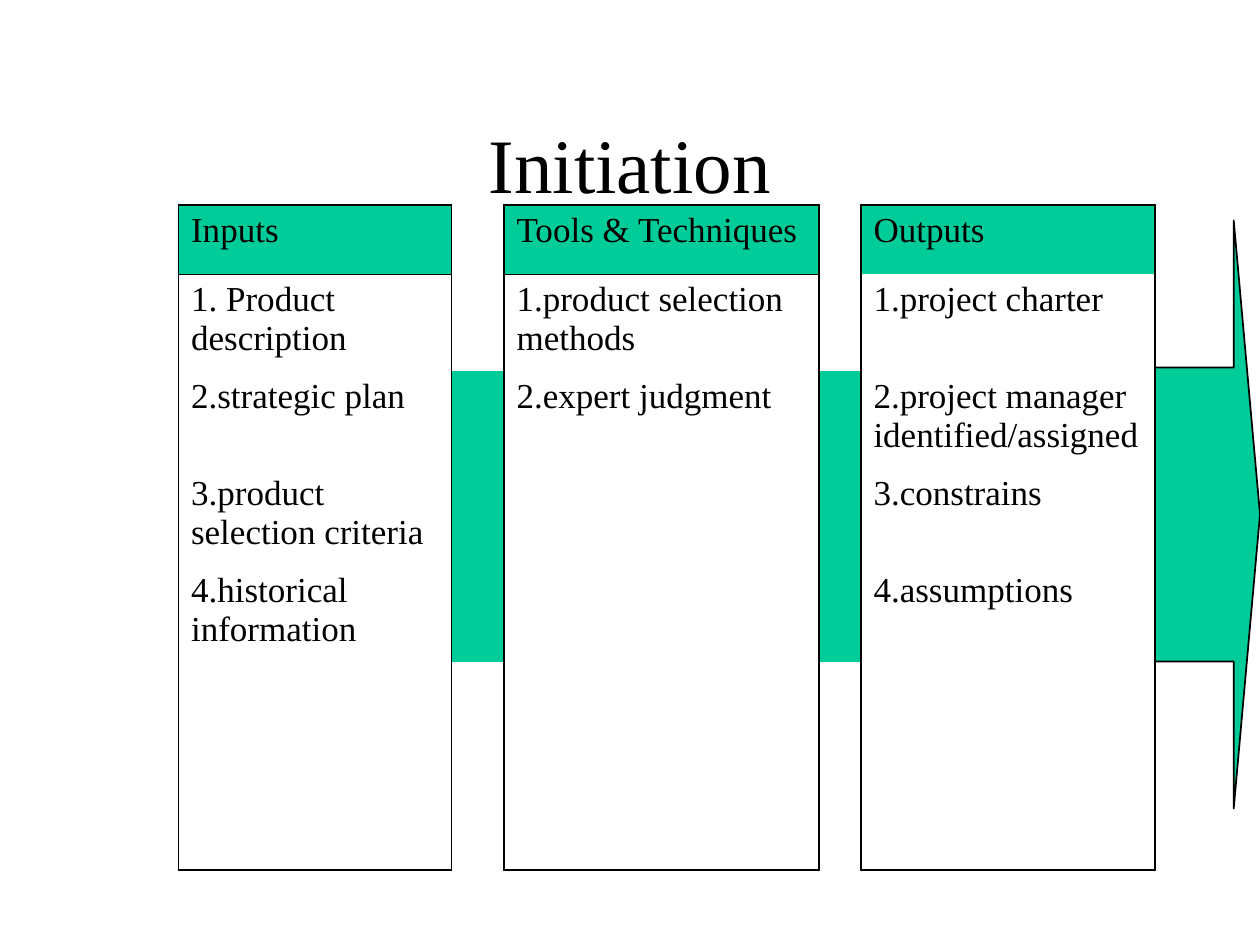
from lxml.etree import SubElement
from pptx import Presentation
from pptx.dml.color import RGBColor
from pptx.enum.shapes import MSO_SHAPE
from pptx.enum.text import MSO_ANCHOR, PP_ALIGN
from pptx.oxml.ns import qn
from pptx.util import Inches, Pt

COLORS = {"text": "000000", "line": "000000", "band": "00CC99"}

COLUMNS = [
    ["Inputs", "1. Product description", "2.strategic plan",
     "3.product selection criteria", "4.historical information"],
    ["Tools & Techniques", "1.product selection methods", "2.expert judgment"],
    ["Outputs", "1.project charter", "2.project manager identified/assigned",
     "3.constrains", "4.assumptions"],
]
COL_WIDTHS = [26, 5, 30, 4, 28]
ROW_HEIGHTS = [6.6] + [9.25] * 4 + [6.6] * 3
BAND_ROWS = range(2, 5)


class Deck:
    """Style and current slide, measured on a grid of 120 columns by 90 rows."""
    font = "Times New Roman"

    def __init__(self):
        self.prs = Presentation()
        self.prs.slide_width, self.prs.slide_height = Inches(10), Inches(7.5)
        self.s = self.prs.slides.add_slide(self.prs.slide_layouts[5])

    def x(self, cols):
        return round(self.prs.slide_width * cols / 120)

    def y(self, rows):
        return round(self.prs.slide_height * rows / 90)

    def box(self, left, top, width, height):
        return self.x(left), self.y(top), self.x(width), self.y(height)

    def color(self, name):
        return RGBColor.from_string(COLORS[name])

    def fill(self, item, name):
        item.fill.solid()
        item.fill.fore_color.rgb = self.color(name)

    def text(self, tf, words, size, align=PP_ALIGN.LEFT):
        p = tf.paragraphs[0]
        p.alignment = align
        r = p.add_run()
        r.text = words
        r.font.name, r.font.size = self.font, Pt(size)
        r.font.color.rgb = self.color("text")

    def title(self, words, *grid):
        sp = self.s.shapes.title
        sp.left, sp.top, sp.width, sp.height = self.box(*grid)
        sp.text_frame.vertical_anchor = MSO_ANCHOR.MIDDLE
        self.text(sp.text_frame, words, 44, PP_ALIGN.CENTER)

    def borders(self, cell, widths):
        """Draw the sides named in widths (points) and clear the others."""
        tc_pr = cell._tc.get_or_add_tcPr()
        for side in "LRTB":
            ln = SubElement(tc_pr, qn(f"a:ln{side}"))
            if side in widths:
                ln.set("w", str(Pt(widths[side])))
                solid = SubElement(ln, qn("a:solidFill"))
                SubElement(solid, qn("a:srgbClr"), val=COLORS["line"])
            else:
                SubElement(ln, qn("a:noFill"))

    def table(self, left, top, widths, heights):
        frame = self.s.shapes.add_table(
            len(heights), len(widths),
            *self.box(left, top, sum(widths), sum(heights)))
        tbl = frame.table
        tbl.first_row = tbl.horz_banding = False
        for col, width in zip(tbl.columns, widths):
            col.width = self.x(width)
        for row, height in zip(tbl.rows, heights):
            row.height = self.y(height)
        return tbl

    def arrow(self, *grid):
        sp = self.s.shapes.add_shape(MSO_SHAPE.RIGHT_ARROW, *self.box(*grid))
        sp.adjustments[0], sp.adjustments[1] = 0.5, 0.25
        sp.shadow.inherit = False
        self.fill(sp, "band")
        sp.line.color.rgb = self.color("line")
        sp.line.width = Pt(1)


def process_table(deck):
    tbl = deck.table(17, 19.5, COL_WIDTHS, ROW_HEIGHTS)
    last_row, last_col = len(ROW_HEIGHTS) - 1, len(COL_WIDTHS) - 1
    for row in range(last_row + 1):
        for col in range(last_col + 1):
            cell = tbl.cell(row, col)
            is_gap = col % 2 == 1
            # Outlined columns, with a thin rule under the first two headers
            sides = {"L": 1.08, "R": 1.08}
            if row == 0:
                sides["T"] = 1.08
            if row == last_row:
                sides["B"] = 1.08
            if col < last_col and row < 2:
                sides["B" if row == 0 else "T"] = 0.45
            # A gap shares its side borders with the columns next to it
            if is_gap:
                sides = {"L": 1.08, "R": 1.08}
            deck.borders(cell, sides)
            # Green headers and the band running through the gaps
            if row in BAND_ROWS if is_gap else row == 0:
                deck.fill(cell, "band")
            else:
                cell.fill.background()
            if not is_gap and row < len(COLUMNS[col // 2]):
                deck.text(cell.text_frame, COLUMNS[col // 2][row], 20)


def main():
    deck = Deck()
    deck.title("Initiation", 9, 8, 102, 15)
    process_table(deck)
    # Arrow leading out of the outputs
    deck.arrow(110, 21, 10, 56)
    deck.prs.save("out.pptx")


if __name__ == "__main__":
    main()
